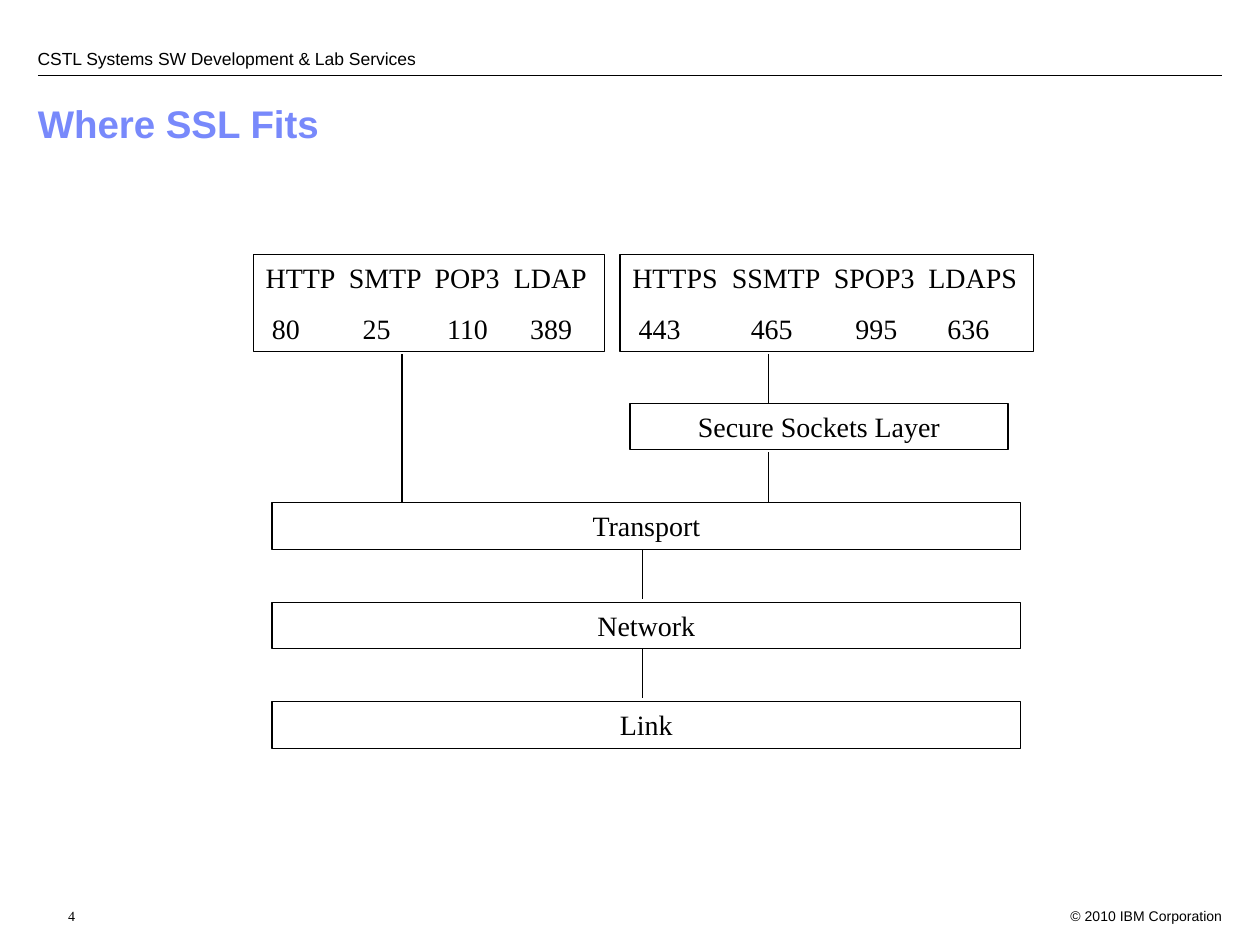
from lxml.etree import SubElement
from pptx import Presentation
from pptx.dml.color import RGBColor
from pptx.enum.shapes import MSO_CONNECTOR, MSO_SHAPE
from pptx.enum.text import MSO_ANCHOR, PP_ALIGN
from pptx.oxml.ns import qn
from pptx.util import Inches, Pt

BLACK = "000000"
TITLE_BLUE = "7889FB"
SERIF = "Times New Roman"
LAYER_LEFT, LAYER_WIDTH, LAYER_HEIGHT = 2.16, 5.94, 0.37
LAYER_TOP, LAYER_STEP = 3.99, 0.79


def color(value):
    return RGBColor.from_string(value)


def style(para, size, font=SERIF, fill=BLACK, bold=False, align=PP_ALIGN.LEFT):
    para.alignment = align
    for span in para.runs:
        span.font.size = Pt(size)
        span.font.name = font
        span.font.bold = bold
        span.font.color.rgb = color(fill)


def add_label(page, text, left, top, width, height, size, font, align=PP_ALIGN.LEFT):
    box = page.shapes.add_textbox(Inches(left), Inches(top), Inches(width), Inches(height))
    frame = box.text_frame
    frame.word_wrap = True
    frame.text = text
    style(frame.paragraphs[0], size, font, align=align)
    return frame


def add_box(page, text, left, top, width, height=LAYER_HEIGHT, align=PP_ALIGN.CENTER):
    box = page.shapes.add_shape(
        MSO_SHAPE.RECTANGLE, Inches(left), Inches(top), Inches(width), Inches(height))
    box.shadow.inherit = False
    box.fill.background()
    box.line.color.rgb = color(BLACK)
    box.line.width = Pt(0.75)
    frame = box.text_frame
    frame.word_wrap = True
    frame.vertical_anchor = MSO_ANCHOR.TOP
    frame.text = text
    for para in frame.paragraphs:
        style(para, 16, align=align)
    return frame


def set_tab_stops(para, stops):
    tabs = SubElement(para._p.get_or_add_pPr(), qn("a:tabLst"))
    for stop in stops:
        SubElement(tabs, qn("a:tab"), pos=str(Inches(stop)), algn="l")


def add_protocols(page, left, width, names, name_stops, ports, port_stops):
    """Names start at the box edge; ports are tabbed in slightly below them."""
    text = "\t".join(names) + "\n\t" + "\t".join(ports)
    frame = add_box(page, text, left, 2.02, width, 0.77, PP_ALIGN.LEFT)
    name_row, port_row = frame.paragraphs
    port_row.space_before = Pt(10)
    set_tab_stops(name_row, name_stops)
    set_tab_stops(port_row, port_stops)


def add_line(page, x1, y1, x2, y2):
    line = page.shapes.add_connector(
        MSO_CONNECTOR.STRAIGHT, Inches(x1), Inches(y1), Inches(x2), Inches(y2))
    line.line.color.rgb = color(BLACK)
    line.line.width = Pt(0.75)
    SubElement(line._element.spPr, qn("a:effectLst"))


def add_title(page, text):
    title = page.shapes.title
    title.left, title.top = Inches(0.2), Inches(0.65)
    title.width, title.height = Inches(9.5), Inches(0.7)
    frame = title.text_frame
    frame.text = text
    frame.vertical_anchor = MSO_ANCHOR.MIDDLE
    frame.paragraphs[0].line_spacing = 0.9
    style(frame.paragraphs[0], 22, "Arial", TITLE_BLUE, bold=True)


def add_header_and_footer(page):
    add_line(page, 0.3, 0.6, 9.7, 0.6)
    header = add_label(page, "CSTL Systems SW Development & Lab Services",
                       0.2, 0.15, 4.7, 0.4, 10, "Arial")
    header.margin_top = header.margin_bottom = 0
    header.vertical_anchor = MSO_ANCHOR.BOTTOM
    add_label(page, "© 2010 IBM Corporation", 8.3, 7.15, 1.5, 0.2, 8, "Arial",
              PP_ALIGN.RIGHT)
    number = add_label(page, "4", 0.2, 7.15, 0.4, 0.2, 8, SERIF)
    number.margin_left, number.margin_right = Inches(0.34), 0


def main():
    deck = Presentation()
    deck.slide_width, deck.slide_height = Inches(10), Inches(7.5)
    page = deck.slides.add_slide(deck.slide_layouts[5])
    add_header_and_footer(page)
    add_title(page, "Where SSL Fits")

    # Plain and secured protocols with their ports
    add_protocols(page, 2.01, 2.79,
                  ["HTTP", "SMTP", "POP3", "LDAP"], [0.66, 1.34, 1.97],
                  ["80", "25", "110", "389"], [0.05, 0.77, 1.44, 2.1])
    add_protocols(page, 4.92, 3.28,
                  ["HTTPS", "SSMTP", "SPOP3", "LDAPS"], [0.79, 1.6, 2.35],
                  ["443", "465", "995", "636"], [0.05, 0.94, 1.77, 2.5])

    # Layers of the network stack
    add_box(page, "Secure Sockets Layer", 5, 3.2, 3)
    for index, layer in enumerate(["Transport", "Network", "Link"]):
        top = LAYER_TOP + index * LAYER_STEP
        add_box(page, layer, LAYER_LEFT, top, LAYER_WIDTH)
        if index:
            add_line(page, 5.1, top - 0.42, 5.1, top - 0.03)

    # Links from the protocols down to the transport layer
    for x, start, end in [(3.19, 2.81, LAYER_TOP), (6.1, 2.81, 3.2), (6.1, 3.59, LAYER_TOP)]:
        add_line(page, x, start, x, end)

    deck.save("out.pptx")


if __name__ == "__main__":
    main()
